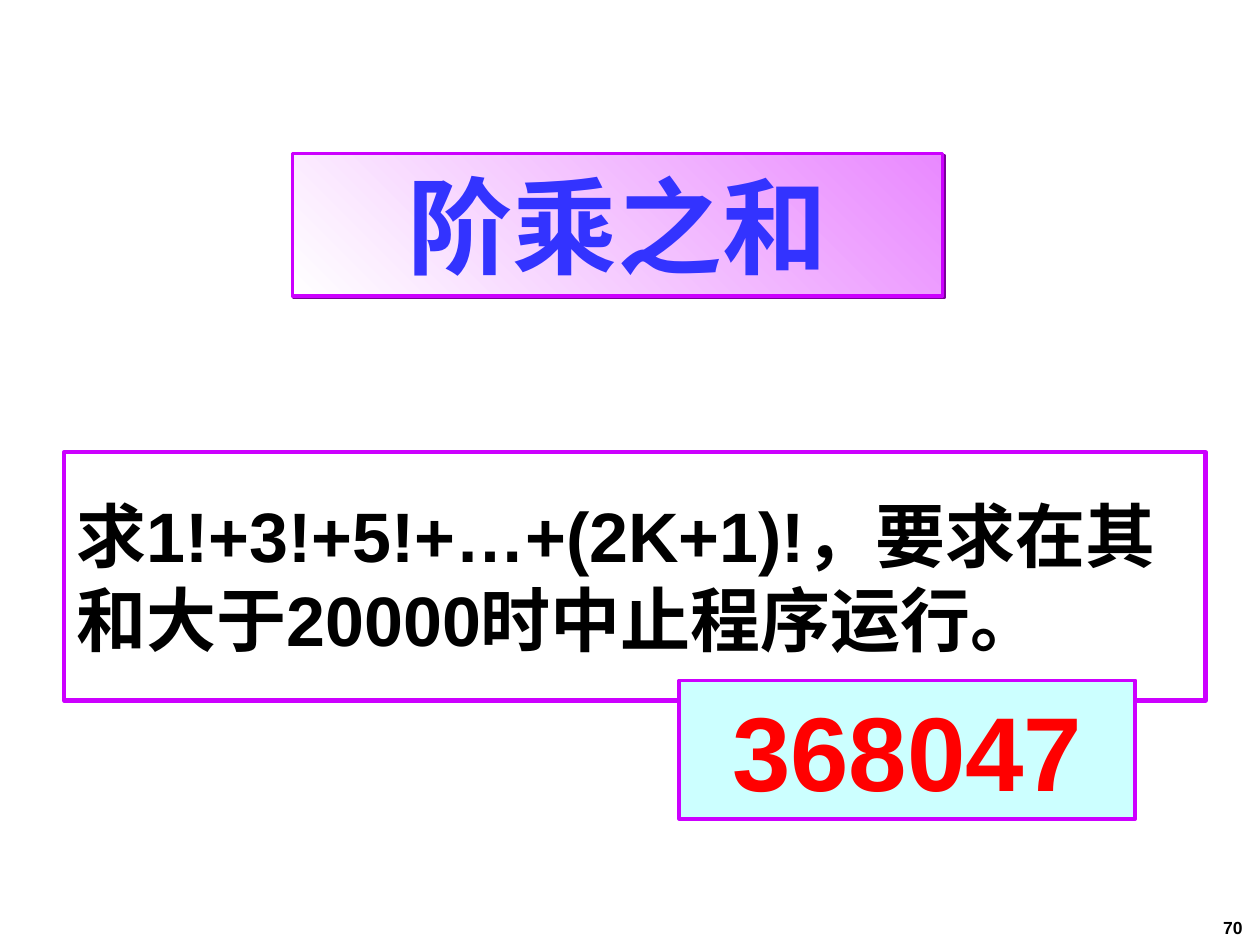
from dataclasses import dataclass

from lxml import etree
from pptx import Presentation
from pptx import util as u
from pptx.dml.color import RGBColor
from pptx.enum import shapes, text
from pptx.oxml import ns


@dataclass(frozen=True)
class Theme:
    edge: str = "CC00FF"
    shade: str = "7A0099"
    pale: str = "FFFFFF"
    pink: str = "E989FF"
    aqua: str = "CCFFFF"
    blue: str = "3333FF"
    red: str = "FF0000"
    ink: str = "000000"
    sans: str = "Arial"
    serif: str = "Times New Roman"
    big: int = 60
    body: int = 40
    small: int = 10


LOOK = Theme()
COLS, ROWS = 100, 75  # grid over the whole slide
CELL = u.Inches(0.1)
MID = text.PP_ALIGN.CENTER
LEFT = text.PP_ALIGN.LEFT


def rgb(code):
    return RGBColor.from_string(code)


def place(box):
    return [round(part * CELL) for part in box]


def write(part, words, size, color, face=LOOK.sans, align=MID):
    """Put one bold paragraph, centred in height, into a part."""
    frame = part.text_frame
    frame.word_wrap = True
    frame.vertical_anchor = text.MSO_ANCHOR.MIDDLE
    frame.text = words
    para = frame.paragraphs[0]
    para.alignment = align
    font = para.runs[0].font
    font.name, font.size, font.bold = face, u.Pt(size), True
    font.color.rgb = rgb(color)


def panel(slide, box, width):
    """Draw an unfilled, framed rectangle."""
    part = slide.shapes.add_shape(shapes.MSO_SHAPE.RECTANGLE, *place(box))
    part.shadow.inherit = False
    part.fill.background()
    part.line.color.rgb = rgb(LOOK.edge)
    part.line.width = u.Pt(width)
    return part


def cast(part):
    """Add a hard shadow to the lower right."""
    glow = part.element.spPr.find(ns.qn("a:effectLst"))
    drop = etree.SubElement(glow, ns.qn("a:outerShdw"), blurRad="0",
                            dist=str(u.Pt(1.4)), dir="2700000",
                            algn="ctr", rotWithShape="0")
    etree.SubElement(drop, ns.qn("a:srgbClr"), val=LOOK.shade)


def title(slide, box):
    part = panel(slide, box, 2)
    part.fill.gradient()
    part.fill.gradient_angle = 45
    for stop, color in zip(part.fill.gradient_stops, (LOOK.pale, LOOK.pink)):
        stop.color.rgb = rgb(color)
    cast(part)
    write(part, "阶乘之和", LOOK.big, LOOK.blue, LOOK.serif)


def task(slide, box):
    part = panel(slide, box, 2.5)
    write(part, "求1!+3!+5!+…+(2K+1)!，要求在其和大于20000时中止程序运行。",
          LOOK.body, LOOK.ink, align=LEFT)


def answer(slide, box):
    part = panel(slide, box, 2)
    part.fill.solid()
    part.fill.fore_color.rgb = rgb(LOOK.aqua)
    write(part, "368047", LOOK.big, LOOK.red)


def number(slide, box):
    part = slide.shapes.add_textbox(*place(box))
    write(part, "70", LOOK.small, LOOK.ink)


def main():
    deck = Presentation()
    deck.slide_width, deck.slide_height = COLS * CELL, ROWS * CELL
    slide = deck.slides.add_slide(deck.slide_layouts[6])
    # Boxes: left, top, width, height in grid columns and rows
    number(slide, (95.7, 72.2, 4.3, 2.8))
    task(slide, (5.1, 35.9, 90.6, 19.7))
    title(slide, (23.2, 12.2, 51.6, 11.3))
    answer(slide, (53.9, 54, 36.2, 11))
    deck.save("out.pptx")


if __name__ == "__main__":
    main()
